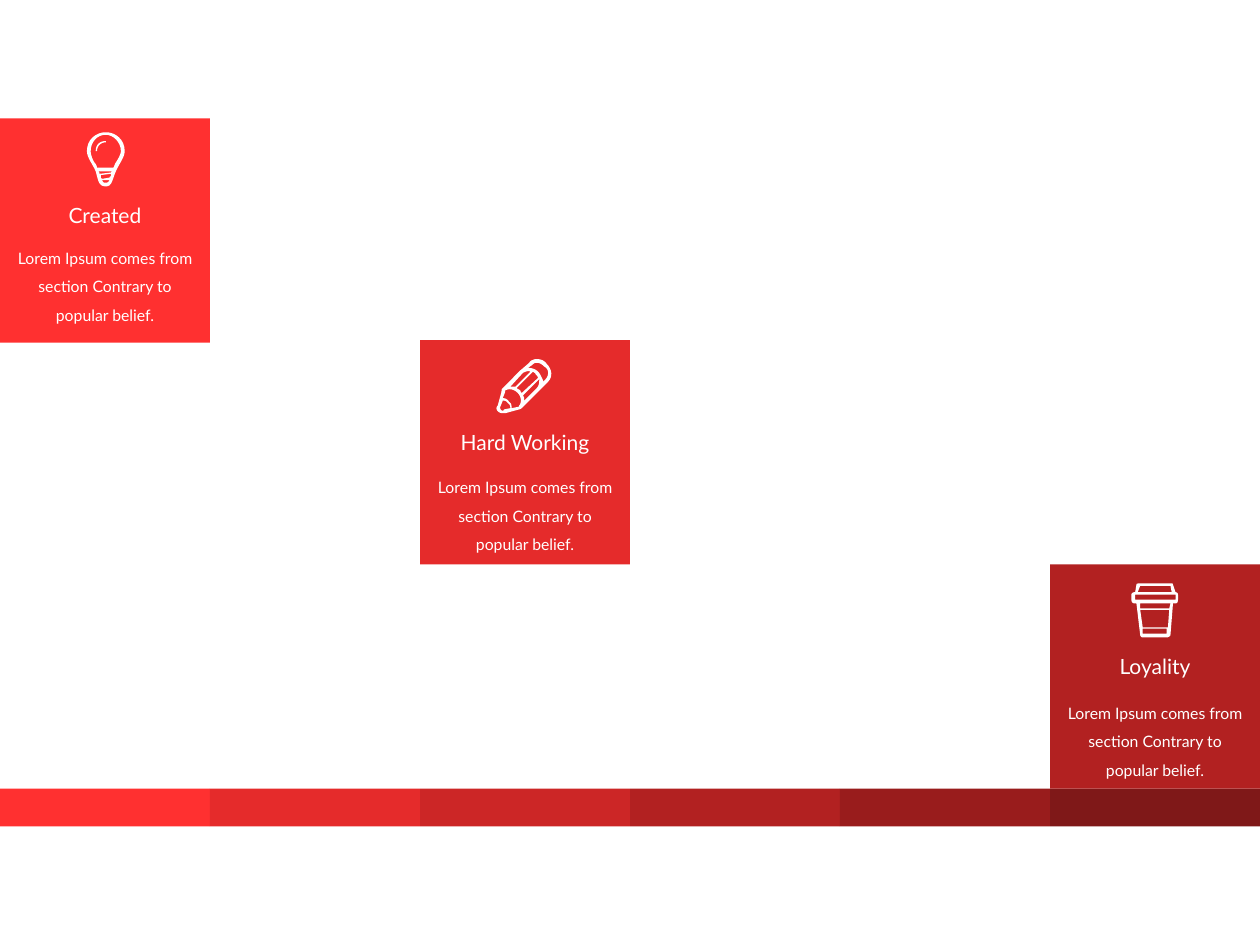
from pptx import Presentation
from pptx.dml.color import RGBColor
from pptx.enum.shapes import MSO_SHAPE
from pptx.enum.text import MSO_AUTO_SIZE, PP_ALIGN
from pptx.util import Inches, Pt

RECTANGLE = MSO_SHAPE.RECTANGLE
CENTER = PP_ALIGN.CENTER
FIT_SHAPE = MSO_AUTO_SIZE.SHAPE_TO_FIT_TEXT

WHITE = "FFFFFF"
STRIP_COLORS = ["FF3030", "E52B2B", "CC2626", "B22121", "991C1C", "7F1818"]
COLUMN = 10 / len(STRIP_COLORS)
CARD_HEIGHT = 1.78
BODY_WIDTH = 1.65
BODY = "Lorem Ipsum comes from section Contrary to popular belief."
CURVE_STEPS = 8

# Icon contours in hundredths of an inch on the slide: a pair is a point,
# six numbers are a Bézier curve from the point before.
BULB = [
    [(84, 105), (76, 105, 69, 111, 69, 120), (69, 125, 74, 131, 76, 136),
     (78, 143, 78, 148, 84, 148), (89, 148, 89, 143, 92, 136),
     (94, 131, 99, 125, 99, 120), (99, 111, 92, 105, 84, 105)],
    [(87, 141), (81, 142), (80, 141, 80, 141, 80, 140), (80, 139), (88, 138),
     (88, 140), (87, 140, 87, 141, 87, 141)],
    [(79, 138), (79, 137, 79, 137, 78, 136), (89, 136), (88, 137)],
    [(84, 145), (82, 145, 82, 145, 81, 143), (87, 143), (86, 145, 85, 145, 84, 145)],
    [(90, 133), (77, 133), (77, 132, 76, 130, 75, 129), (73, 126, 72, 122, 72, 120),
     (72, 113, 77, 107, 84, 107), (90, 107, 96, 113, 96, 120),
     (96, 122, 94, 126, 92, 129), (91, 130, 91, 132, 90, 133)],
    [(84, 112), (79, 112, 76, 115, 76, 120), (77, 120), (77, 116, 80, 113, 84, 113)],
]
PENCIL = [
    [(434, 289), (432, 286, 429, 285, 426, 285), (424, 285, 421, 286, 420, 288),
     (413, 294), (399, 308), (398, 309, 398, 310, 398, 311), (395, 322),
     (395, 322, 394, 323, 394, 324), (394, 326, 396, 328, 399, 328),
     (400, 328, 401, 328, 401, 328), (412, 325), (413, 325, 414, 324, 414, 324),
     (435, 303), (439, 299, 438, 293, 434, 289)],
    [(416, 317), (416, 316, 416, 315, 415, 314), (428, 301),
     (428, 303, 428, 306, 426, 308), (416, 318)],
    [(414, 312), (414, 312, 413, 311, 413, 310), (412, 309, 411, 309, 410, 308),
     (423, 295), (424, 296, 425, 296, 425, 297), (426, 298, 427, 299, 427, 300)],
    [(409, 307), (407, 307, 406, 307, 405, 307), (415, 296), (417, 295, 419, 294, 421, 295)],
    [(400, 325), (400, 326, 399, 326, 399, 326), (398, 326, 397, 325, 397, 324),
     (397, 323), (399, 318), (400, 318, 402, 318, 403, 320), (405, 321, 405, 323, 405, 324)],
    [(406, 324), (406, 322, 406, 320, 404, 319), (403, 317, 401, 316, 399, 316),
     (401, 311), (401, 310), (404, 308, 408, 309, 411, 312), (414, 315, 414, 320, 412, 322),
     (412, 322, 412, 323, 411, 323)],
    [(433, 301), (431, 303), (431, 302), (430, 300, 429, 297, 427, 295),
     (425, 293, 422, 292, 419, 292), (422, 290), (423, 289, 424, 288, 426, 288),
     (428, 288, 430, 289, 432, 291), (434, 292, 435, 294, 435, 296),
     (435, 298, 434, 300, 433, 301)],
]
CUP = [
    [(933, 470), (931, 464), (931, 463, 930, 463, 929, 463), (905, 463),
     (904, 463, 902, 463, 902, 464), (901, 470), (899, 470, 898, 471, 898, 472),
     (898, 476), (898, 478, 899, 479, 901, 479), (902, 479), (905, 504),
     (905, 505, 906, 506, 907, 506), (926, 506), (927, 506, 929, 505, 929, 504),
     (931, 479), (933, 479), (934, 479, 935, 478, 935, 476), (935, 472),
     (935, 471, 934, 470, 933, 470)],
    [(905, 465), (929, 465), (930, 470), (903, 470)],
    [(907, 503), (907, 499), (926, 499), (926, 503)],
    [(927, 498), (907, 498), (905, 484), (928, 484)],
    [(928, 483), (905, 483), (905, 479), (929, 479)],
    [(933, 476), (901, 476), (901, 472), (933, 472)],
]

# column, card top, colour, label, label top, label width, body top, icon
CARDS = [
    (5, 4.48, "B22121", "Loyality", 5.14, 0.78, 5.46, CUP),
    (2, 2.7, "E52B2B", "Hard Working", 3.36, 1.25, 3.67, PENCIL),
    (0, 0.94, "FF3030", "Created", 1.56, 0.79, 1.85, BULB),
]


def paint(shape, color):
    """Give the shape a flat fill with no outline or shadow."""
    shape.fill.solid()
    shape.fill.fore_color.rgb = RGBColor.from_string(color)
    shape.line.fill.background()
    shape.shadow.inherit = False


def add_text(text, left, top, width, height, size, wrap=True, spacing=None):
    box = slide.shapes.add_textbox(Inches(left), Inches(top), Inches(width), Inches(height))
    frame = box.text_frame
    frame.word_wrap = wrap
    frame.auto_size = FIT_SHAPE
    para = frame.paragraphs[0]
    para.alignment = CENTER
    if spacing:
        para.line_spacing = spacing
    span = para.add_run()
    span.text = text
    span.font.name = "Lato"
    span.font.size = Pt(size)
    span.font.color.rgb = RGBColor.from_string(WHITE)


deck = Presentation()
deck.slide_width = Inches(10)
deck.slide_height = Inches(7.5)
slide = deck.slides.add_slide(deck.slide_layouts[6])

for index, color in enumerate(STRIP_COLORS):
    band = slide.shapes.add_shape(
        RECTANGLE, Inches(index * COLUMN), Inches(6.26), Inches(COLUMN), Inches(0.3))
    paint(band, color)

for column, top, color, label, label_top, label_width, body_top, icon in CARDS:
    left = column * COLUMN
    center = left + COLUMN / 2
    card = slide.shapes.add_shape(
        RECTANGLE, Inches(left), Inches(top), Inches(COLUMN), Inches(CARD_HEIGHT))
    paint(card, color)
    add_text(label, center - label_width / 2, label_top, label_width, 0.3, 12, wrap=False)
    add_text(BODY, center - BODY_WIDTH / 2, body_top, BODY_WIDTH, 0.78, 9, spacing=1.5)

    builder = None
    for contour in icon:
        points = []
        for segment in contour:
            if len(segment) == 2:
                points.append(segment)
                continue
            x0, y0 = points[-1]
            x1, y1, x2, y2, x3, y3 = segment
            for step in range(1, CURVE_STEPS + 1):
                t = step / CURVE_STEPS
                a, b, c, d = (1 - t) ** 3, 3 * t * (1 - t) ** 2, 3 * t * t * (1 - t), t ** 3
                points.append((a * x0 + b * x1 + c * x2 + d * x3,
                               a * y0 + b * y1 + c * y2 + d * y3))
        start, *rest = [(Inches(x / 100), Inches(y / 100)) for x, y in points]
        if builder is None:
            builder = slide.shapes.build_freeform(*start)
        else:
            builder.move_to(*start)
        builder.add_line_segments(rest, close=True)
    paint(builder.convert_to_shape(), WHITE)

deck.save("out.pptx")
